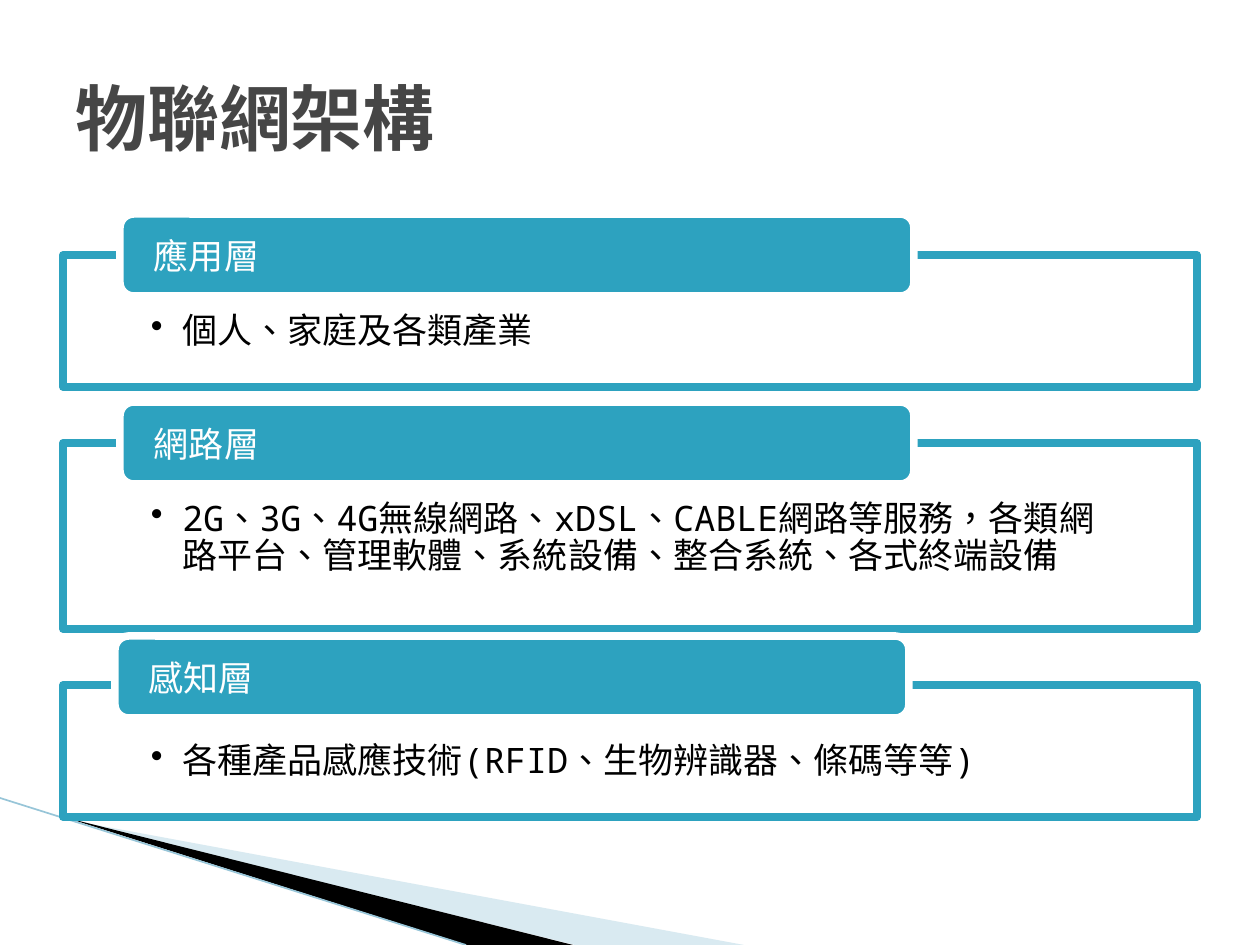
"""Build the slide on the layered architecture of the Internet of Things."""
from lxml import etree
from pptx import Presentation
from pptx import util as u
from pptx.dml.color import RGBColor
from pptx.enum import shapes, text
from pptx.oxml.ns import qn

SCALE = 914400 / 126
TEAL = RGBColor(0x2D, 0xA2, 0xBF)
PALE = RGBColor(0xA0, 0xCB, 0xDC)
EDGE = RGBColor(0x97, 0xC5, 0xD8)
WHITE = RGBColor(0xFF, 0xFF, 0xFF)
BLACK = RGBColor(0, 0, 0)
GREY = RGBColor(0x46, 0x46, 0x46)
MONO, SANS = "Noto Sans Mono", "Noto Sans CJK SC"

LAYERS = [
    ("應用層", "個人、家庭及各類產業", 120, 214, 255, 132),
    ("網路層", "2G、3G、4G無線網路、xDSL、CABLE網路等服務，各類網路平台、"
     "管理軟體、系統設備、整合系統、各式終端設備", 120, 402, 443, 186),
    ("感知層", "各種產品感應技術(RFID、生物辨識器、條碼等等)", 115, 636, 685, 132),
]


def px(*lengths):
    return [u.Emu(round(length * SCALE)) for length in lengths]


class Deck:
    """Holds the style and the current slide."""

    def __init__(self):
        self.deck = Presentation()
        self.deck.slide_width, self.deck.slide_height = px(1260, 945)
        self.slide = self.deck.slides.add_slide(self.deck.slide_layouts[5])
        self.shapes = self.slide.shapes

    def paint(self, shape, fill, line=None, alpha=100):
        shape.shadow.inherit = False
        shape.fill.solid()
        shape.fill.fore_color.rgb = fill
        if alpha < 100:
            color = shape._element.spPr.find(qn("a:solidFill"))[0]
            etree.SubElement(color, qn("a:alpha")).set("val", str(alpha * 1000))
        if line is None:
            shape.line.fill.background()
        else:
            shape.line.color.rgb = line
            shape.line.width = u.Pt(4.33)

    def label(self, shape, words, anchor, margins=None, bullet=False, **style):
        frame = shape.text_frame
        frame.word_wrap = True
        frame.vertical_anchor = anchor
        if margins:
            sides = ("left", "top", "right", "bottom")
            for side, margin in zip(sides, px(*margins)):
                setattr(frame, f"margin_{side}", margin)
        paragraph = frame.paragraphs[0]
        paragraph.alignment = text.PP_ALIGN.LEFT
        if bullet:
            props = paragraph._p.get_or_add_pPr()
            props.set("marL", "228600")
            props.set("indent", "-228600")
            etree.SubElement(props, qn("a:buChar")).set("char", "•")
            paragraph.line_spacing = 0.9
        run = paragraph.add_run()
        run.text = words
        color = style.pop("color")
        for name, value in style.items():
            setattr(run.font, name, value)
        run.font.color.rgb = color
        props = run._r.get_or_add_rPr()
        props.set("lang", "zh-TW")
        latin = props.find(qn("a:latin"))
        east = etree.Element(qn("a:ea"), typeface=SANS)
        latin.addnext(east)

    def title(self, words):
        heading = self.shapes.title
        places = dict(zip(("left", "top", "width", "height"), px(63, 38, 1134, 158)))
        for name, value in places.items():
            setattr(heading, name, value)
        self.label(heading, words, text.MSO_ANCHOR.MIDDLE, name=MONO,
                   size=u.Pt(41), bold=True, color=GREY)

    def wedge(self, points, fill, alpha=100):
        builder = self.shapes.build_freeform(*points[0], scale=SCALE)
        builder.add_line_segments(points[1:], close=True)
        self.paint(builder.convert_to_shape(), fill, alpha=alpha)

    def rule(self, *ends):
        line = self.shapes.add_connector(shapes.MSO_CONNECTOR.STRAIGHT, *px(*ends))
        line.line.color.rgb = EDGE
        line.line.width = u.Pt(0.95)
        etree.SubElement(line._element.spPr, qn("a:effectLst"))

    def layer(self, name, detail, tab_left, tab_top, top, height):
        frame = self.shapes.add_shape(
            shapes.MSO_SHAPE.RECTANGLE, *px(63, top, 1134, height))
        self.paint(frame, WHITE, TEAL, alpha=90)
        self.label(frame, detail, text.MSO_ANCHOR.TOP, (88, 58, 88, 20),
                   bullet=True, name=MONO, size=u.Pt(20), color=BLACK)
        tab = self.shapes.add_shape(
            shapes.MSO_SHAPE.ROUNDED_RECTANGLE, *px(tab_left, tab_top, 794, 82))
        self.paint(tab, TEAL, WHITE)
        self.label(tab, name, text.MSO_ANCHOR.MIDDLE, (30, 0, 30, 0),
                   name=SANS, size=u.Pt(20), color=WHITE)


def main():
    deck = Deck()
    deck.wedge([(69, 820), (744, 945), (575, 945)], PALE, alpha=40)
    deck.wedge([(67, 818), (573, 945), (467, 945)], BLACK)
    deck.rule(0, 798, 466, 945)
    for layer in LAYERS:
        deck.layer(*layer)
    deck.title("物聯網架構")
    deck.deck.save("out.pptx")


if __name__ == "__main__":
    main()
